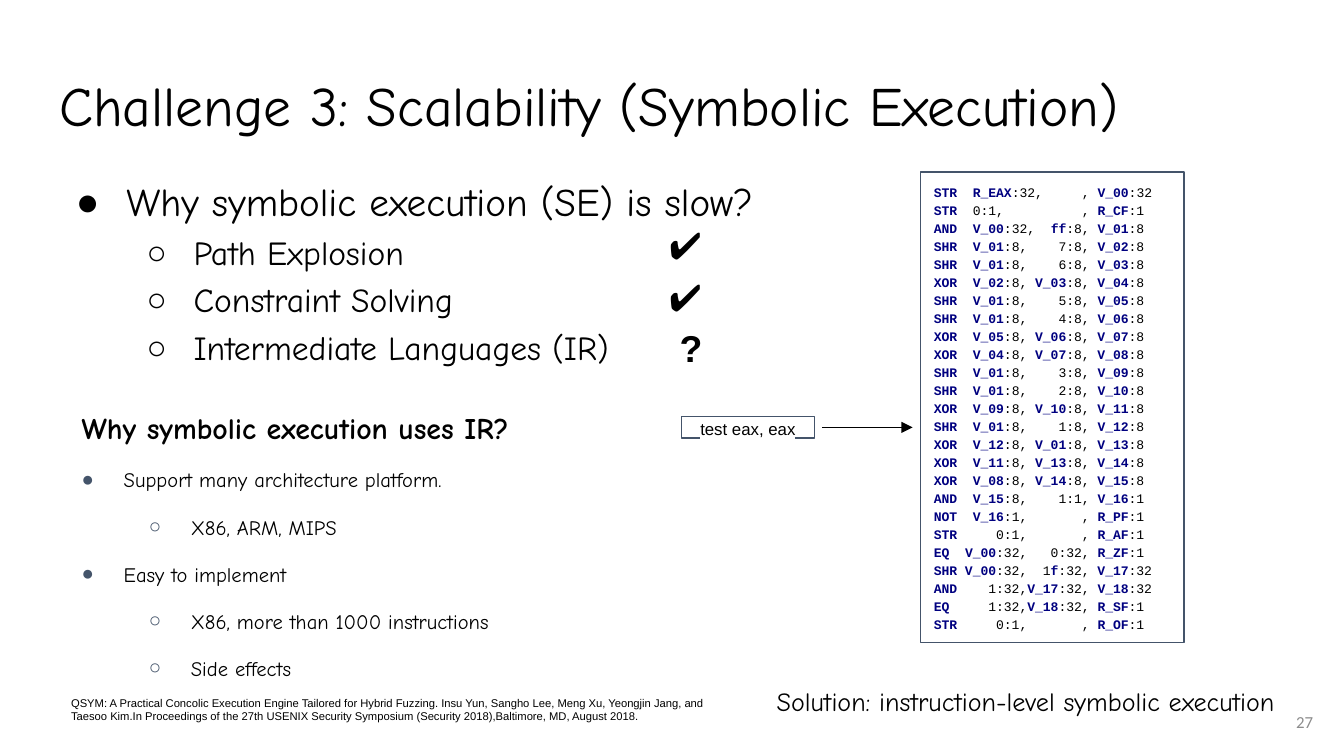
from itertools import groupby

from lxml.etree import SubElement
from pptx import Presentation
from pptx.dml.color import RGBColor
from pptx.enum.shapes import MSO_CONNECTOR, MSO_SHAPE
from pptx.enum.text import MSO_ANCHOR, MSO_AUTO_SIZE, PP_ALIGN
from pptx.oxml.ns import qn
from pptx.util import Pt

BLACK, WHITE, NAVY, SLATE, GRAY = "000000", "FFFFFF", "000080", "44546A", "8C8C8C"
HEADING_FONT = "Comic Neue"


def style(paragraph, size, font=HEADING_FONT, color=BLACK, bold=False):
    for run in paragraph.runs:
        run.font.size = Pt(size)
        run.font.name = font
        run.font.bold = bold
        run.font.color.rgb = RGBColor.from_string(color)


def add_bullet(paragraph, character, left, hanging, color):
    """Give the paragraph a bullet; left and hanging are in points."""
    properties = paragraph._p.get_or_add_pPr()
    properties.set("marL", str(Pt(left)))
    properties.set("indent", str(-Pt(hanging)))
    bullet_color = SubElement(properties, qn("a:buClr"))
    SubElement(bullet_color, qn("a:srgbClr"), val=color)
    SubElement(properties, qn("a:buFont"), typeface="Arial")
    SubElement(properties, qn("a:buChar"), char=character)


presentation = Presentation()
presentation.slide_width, presentation.slide_height = Pt(720), Pt(405)
slide = presentation.slides.add_slide(presentation.slide_layouts[1])

# Title and main list
title, body = slide.shapes.title, slide.placeholders[1]
for placeholder, top, height in ((title, 35.3, 45.4), (body, 90.7, 126.7)):
    placeholder.left, placeholder.top = Pt(24.5), Pt(top)
    placeholder.width, placeholder.height = Pt(671), Pt(height)
    frame = placeholder.text_frame
    frame.auto_size = MSO_AUTO_SIZE.NONE
    frame.margin_left = frame.margin_right = Pt(7.2)
    frame.margin_top = frame.margin_bottom = Pt(7.2)

title.text_frame.text = "Challenge 3: Scalability (Symbolic Execution)"
title.text_frame.vertical_anchor = MSO_ANCHOR.MIDDLE
heading = title.text_frame.paragraphs[0]
heading.alignment = PP_ALIGN.LEFT
heading.line_spacing = 0.9
style(heading, 29.7)

body.text_frame.text = "\n".join((
    "Why symbolic execution (SE) is slow?",
    "Path Explosion",
    "Constraint Solving",
    "Intermediate Languages (IR)",
))
for index, paragraph in enumerate(body.text_frame.paragraphs):
    if index == 0:
        add_bullet(paragraph, "●", 36, 27, BLACK)
    else:
        paragraph.level = 1
        add_bullet(paragraph, "○", 72, 25.2, BLACK)
    paragraph.line_spacing = 0.9
    paragraph.space_before = Pt(6 if index else 0)
    style(paragraph, 18 if index else 21)

# Plain text boxes: text, left, top, width, height, size, font, color, bold
for text, left, top, width, height, *look in (
    ("✔", 351.4, 115.2, 37.4, 31.5, 20, "Arial", BLACK, True),
    ("✔", 351.4, 143.1, 37.4, 31.5, 20, "Arial", BLACK, True),
    ("?", 357, 170.9, 31.8, 31.5, 20, "Arial", BLACK, True),
    ("QSYM: A Practical Concolic Execution Engine Tailored for Hybrid Fuzzing. "
     "Insu Yun, Sangho Lee, Meng Xu, Yeongjin Jang, and Taesoo Kim.In Proceedings "
     "of the 27th USENIX Security Symposium (Security 2018),Baltimore, MD, August 2018.",
     31, 369.4, 360, 21.6, 6, "Arial", BLACK, False),
    ("Solution: instruction-level symbolic execution",
     409, 363.6, 305, 41, 14, HEADING_FONT, BLACK, False),
    ("27", 667.4, 375.6, 43.2, 22, 9, "Calibri", GRAY, False),
):
    box = slide.shapes.add_textbox(Pt(left), Pt(top), Pt(width), Pt(height))
    box.text_frame.word_wrap = True
    box.text_frame.text = text
    style(box.text_frame.paragraphs[0], *look)
box.text_frame.vertical_anchor = MSO_ANCHOR.MIDDLE
box.text_frame.paragraphs[0].alignment = PP_ALIGN.RIGHT

# Reasons for using an intermediate language
reasons = slide.shapes.add_textbox(Pt(36.7), Pt(217.4), Pt(276.5), Pt(159))
frame = reasons.text_frame
frame.word_wrap = True
frame.margin_top = frame.margin_bottom = Pt(7.2)
frame.text = "Why symbolic execution uses IR?"
style(frame.paragraphs[0], 16, bold=True)
frame.paragraphs[0].line_spacing = 0.7
for level, text in (
    (0, "Support many architecture platform."),
    (1, "X86, ARM, MIPS"),
    (0, "Easy to implement"),
    (1, "X86, more than 1000 instructions"),
    (1, "Side effects"),
):
    paragraph = frame.add_paragraph()
    paragraph.text = text
    paragraph.level = level
    add_bullet(paragraph, "●○"[level], 22.5 + 36 * level, 22.5, SLATE)
    paragraph.line_spacing = 0.7
    paragraph.space_before = Pt(16)
    style(paragraph, 11)

# Machine instruction and the intermediate code it expands to
code = """\
STR  R_EAX:32,     , V_00:32
STR  0:1,          , R_CF:1
AND  V_00:32,  ff:8, V_01:8
SHR  V_01:8,    7:8, V_02:8
SHR  V_01:8,    6:8, V_03:8
XOR  V_02:8, V_03:8, V_04:8
SHR  V_01:8,    5:8, V_05:8
SHR  V_01:8,    4:8, V_06:8
XOR  V_05:8, V_06:8, V_07:8
XOR  V_04:8, V_07:8, V_08:8
SHR  V_01:8,    3:8, V_09:8
SHR  V_01:8,    2:8, V_10:8
XOR  V_09:8, V_10:8, V_11:8
SHR  V_01:8,    1:8, V_12:8
XOR  V_12:8, V_01:8, V_13:8
XOR  V_11:8, V_13:8, V_14:8
XOR  V_08:8, V_14:8, V_15:8
AND  V_15:8,    1:1, V_16:1
NOT  V_16:1,       , R_PF:1
STR     0:1,       , R_AF:1
EQ  V_00:32,   0:32, R_ZF:1
SHR V_00:32,  1f:32, V_17:32
AND    1:32,V_17:32, V_18:32
EQ     1:32,V_18:32, R_SF:1
STR     0:1,       , R_OF:1"""

instruction = slide.shapes.add_shape(MSO_SHAPE.RECTANGLE, Pt(365), Pt(223.2), Pt(71.3), Pt(11.5))
listing = slide.shapes.add_shape(MSO_SHAPE.RECTANGLE, Pt(493.2), Pt(92.2), Pt(141.1), Pt(252))
for shape in (instruction, listing):
    shape.shadow.inherit = False
    shape.fill.solid()
    shape.fill.fore_color.rgb = RGBColor.from_string(WHITE)
    shape.line.color.rgb = RGBColor.from_string(SLATE)
    shape.line.width = Pt(0.75)
    frame = shape.text_frame
    frame.word_wrap = True
    frame.vertical_anchor = MSO_ANCHOR.MIDDLE
    frame.margin_top = frame.margin_bottom = Pt(7.2)

instruction.text_frame.text = "test eax, eax"
paragraph = instruction.text_frame.paragraphs[0]
paragraph.alignment = PP_ALIGN.CENTER
paragraph.line_spacing = 1.15
style(paragraph, 9, "Arial")
run_properties = paragraph.runs[0]._r.get_or_add_rPr()
highlight = SubElement(run_properties, qn("a:highlight"))
SubElement(highlight, qn("a:srgbClr"), val=WHITE)
run_properties.find(qn("a:solidFill")).addnext(highlight)

listing.text_frame.text = "\n".join("" for line in code.splitlines())
for paragraph, line in zip(listing.text_frame.paragraphs, code.splitlines()):
    paragraph.alignment = PP_ALIGN.LEFT
    paragraph.line_spacing = Pt(9.64)
    # A name starts with a letter or underscore and may go on with digits
    in_name, marked = False, []
    for character in line:
        in_name = character.isalpha() or character == "_" or (in_name and character.isdigit())
        marked.append((in_name, character))
    for is_name, group in groupby(marked, key=lambda pair: pair[0]):
        run = paragraph.add_run()
        run.text = "".join(character for _, character in group)
        run.font.size = Pt(7)
        run.font.name = "Courier New"
        run.font.bold = is_name
        run.font.color.rgb = RGBColor.from_string(NAVY if is_name else BLACK)

arrow = slide.shapes.add_connector(MSO_CONNECTOR.STRAIGHT, Pt(440.6), Pt(229), Pt(488.9), Pt(229))
arrow.line.color.rgb = RGBColor.from_string(BLACK)
arrow.line.width = Pt(0.5)
SubElement(arrow.line._get_or_add_ln(), qn("a:tailEnd"), type="triangle")
SubElement(arrow._element.spPr, qn("a:effectLst"))

presentation.save("out.pptx")
